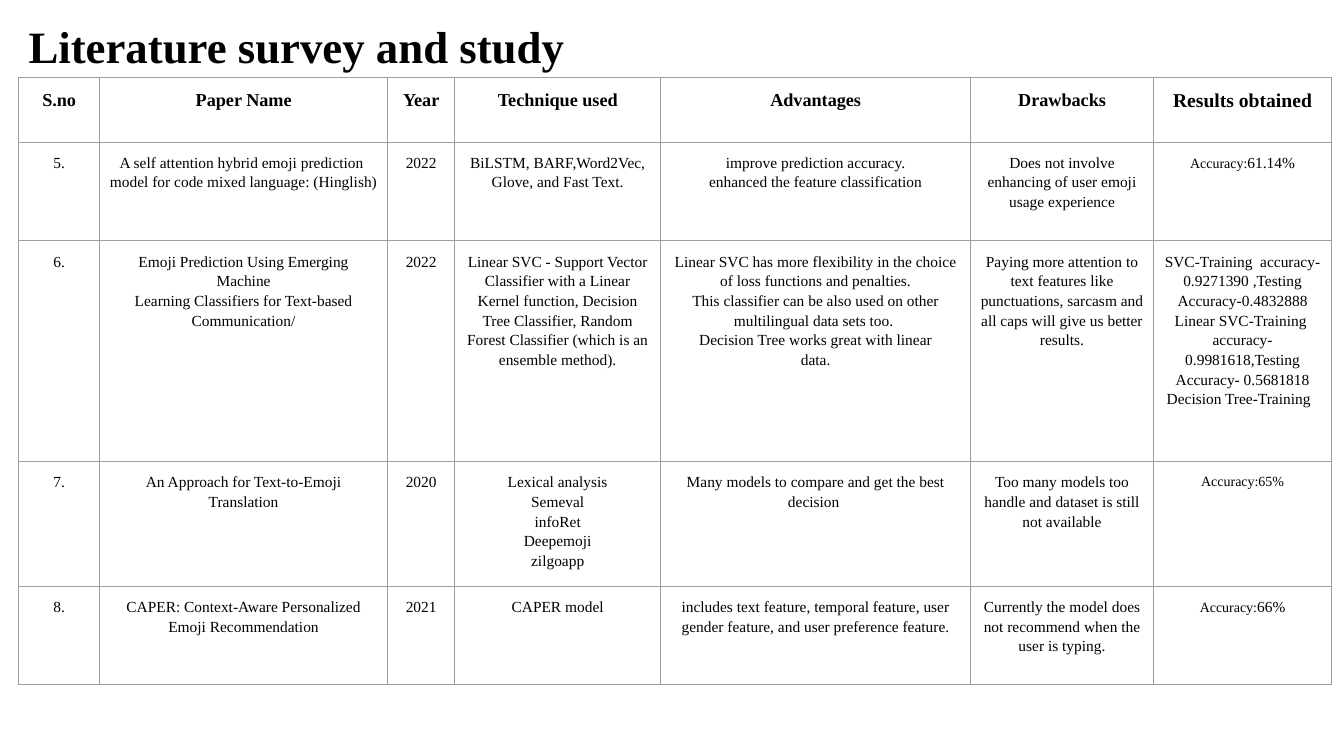
from lxml import etree
from pptx import Presentation
from pptx.dml.color import RGBColor
from pptx.enum.text import MSO_ANCHOR, PP_ALIGN
from pptx.oxml.ns import qn
from pptx.util import Cm, Pt

CENTER = PP_ALIGN.CENTER
MIDDLE = MSO_ANCHOR.MIDDLE
FONT = "Times New Roman"
BLACK = "000000"
GREY = "9E9E9E"
TITLE_SIZE, HEADER_SIZE, RESULT_HEADER_SIZE = 32, 13, 14
BODY_SIZE, SMALL_SIZE = 11, 10

COLUMN_WIDTHS = [2.04, 7.26, 1.69, 5.19, 7.81, 4.61, 4.49]
ROW_HEIGHTS = [1.63, 2.49, 5.56, 3.14, 2.49]

HEADERS = ["S.no", "Paper Name", "Year", "Technique used", "Advantages",
           "Drawbacks", "Results obtained"]
# A line break starts a paragraph; text before "|" is set in the small size.
PAPERS = [
    ["5.",
     "A self attention hybrid emoji prediction \n"
     "model for code mixed language: (Hinglish)",
     "2022",
     "BiLSTM, BARF,Word2Vec, Glove, and Fast Text.",
     "improve prediction accuracy.\nenhanced the feature classification",
     "Does not involve enhancing of user emoji usage experience",
     "Accuracy:|61.14%"],
    ["6.",
     "Emoji Prediction Using Emerging Machine\n"
     "Learning Classifiers for Text-based\nCommunication/",
     "2022",
     "Linear SVC - Support Vector Classifier with a Linear Kernel function, "
     "Decision Tree Classifier, Random Forest Classifier "
     "(which is an ensemble method).",
     "Linear SVC has more flexibility in the choice of loss functions and penalties.\n"
     "This classifier can be also used on other multilingual data sets too. \n"
     "Decision Tree works great with linear\ndata.",
     "Paying more attention to text features like\n"
     "punctuations, sarcasm and all caps will give us better results.",
     "SVC-Training  accuracy- 0.9271390 ,Testing Accuracy-0.4832888\n"
     "Linear SVC-Training  accuracy- 0.9981618,Testing Accuracy- 0.5681818\n"
     "Decision Tree-Training  "],
    ["7.",
     "An Approach for Text-to-Emoji Translation",
     "2020",
     "Lexical analysis\nSemeval\ninfoRet\nDeepemoji\nzilgoapp",
     "Many models to compare and get the best decision ",
     "Too many models too handle and dataset is still not available",
     "Accuracy:65%|"],
    ["8.",
     "CAPER: Context-Aware Personalized Emoji Recommendation",
     "2021",
     "CAPER model",
     "includes text feature, temporal feature, user gender feature, "
     "and user preference feature.",
     "Currently the model does not recommend when the user is typing.",
     "Accuracy:|66%"],
]


def add_span(para, text, size, bold=False):
    span = para.add_run()
    span.text = text
    span.font.color.rgb = RGBColor.from_string(BLACK)
    for name, value in {"name": FONT, "size": Pt(size), "bold": bold}.items():
        setattr(span.font, name, value)


def add_borders(cell):
    properties = cell._tc.get_or_add_tcPr()
    for side in ("a:lnL", "a:lnR", "a:lnT", "a:lnB"):
        line = etree.SubElement(properties, qn(side), w=str(Pt(0.75)))
        fill = etree.SubElement(line, qn("a:solidFill"))
        etree.SubElement(fill, qn("a:srgbClr"), val=GREY)


deck = Presentation()
deck.slide_width, deck.slide_height = Cm(33.87), Cm(19.05)
page = deck.slides.add_slide(deck.slide_layouts[6])

# Survey table
frame = page.shapes.add_table(
    len(ROW_HEIGHTS), len(COLUMN_WIDTHS), Cm(0.47), Cm(1.95),
    Cm(sum(COLUMN_WIDTHS)), Cm(sum(ROW_HEIGHTS)))
table = frame.table
table.first_row = table.horz_banding = False
for column, width in zip(table.columns, COLUMN_WIDTHS):
    column.width = Cm(width)
for row, height in zip(table.rows, ROW_HEIGHTS):
    row.height = Cm(height)

cell_format = {f"margin_{side}": Cm(0.25)
               for side in ("left", "right", "top", "bottom")}
paragraph_format = {"alignment": CENTER, "line_spacing": 1.15}

for row_number, texts in enumerate([HEADERS] + PAPERS):
    is_header = row_number == 0
    for column_number, text in enumerate(texts):
        cell = table.cell(row_number, column_number)
        for name, value in cell_format.items():
            setattr(cell, name, value)
        add_borders(cell)
        cell.fill.background()

        size = HEADER_SIZE if is_header else BODY_SIZE
        if text == HEADERS[-1]:
            size = RESULT_HEADER_SIZE
        for index, line in enumerate(text.split("\n")):
            frame_text = cell.text_frame
            para = frame_text.add_paragraph() if index else frame_text.paragraphs[0]
            for name, value in paragraph_format.items():
                setattr(para, name, value)
            small, _, regular = line.rpartition("|")
            if small:
                add_span(para, small, SMALL_SIZE)
            if regular:
                add_span(para, regular, size, is_header)

# Title
title = page.shapes.add_textbox(Cm(0.47), Cm(0.33), Cm(26.11), Cm(1.63))
title_format = {"word_wrap": True, "vertical_anchor": MIDDLE,
                "margin_left": Cm(0.25), "margin_right": Cm(0.25),
                "margin_top": Cm(0.13), "margin_bottom": Cm(0.13)}
for name, value in title_format.items():
    setattr(title.text_frame, name, value)
add_span(title.text_frame.paragraphs[0], "Literature survey and study",
         TITLE_SIZE, bold=True)

deck.save("out.pptx")
